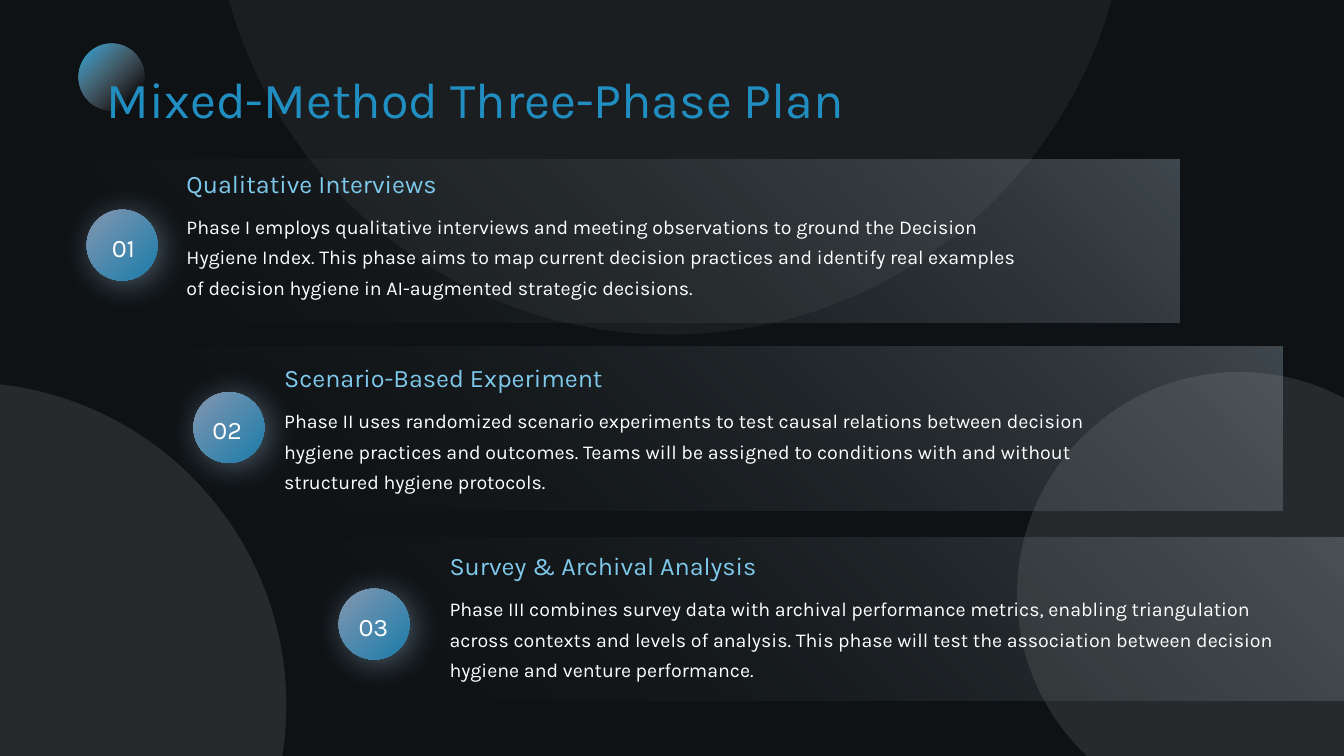
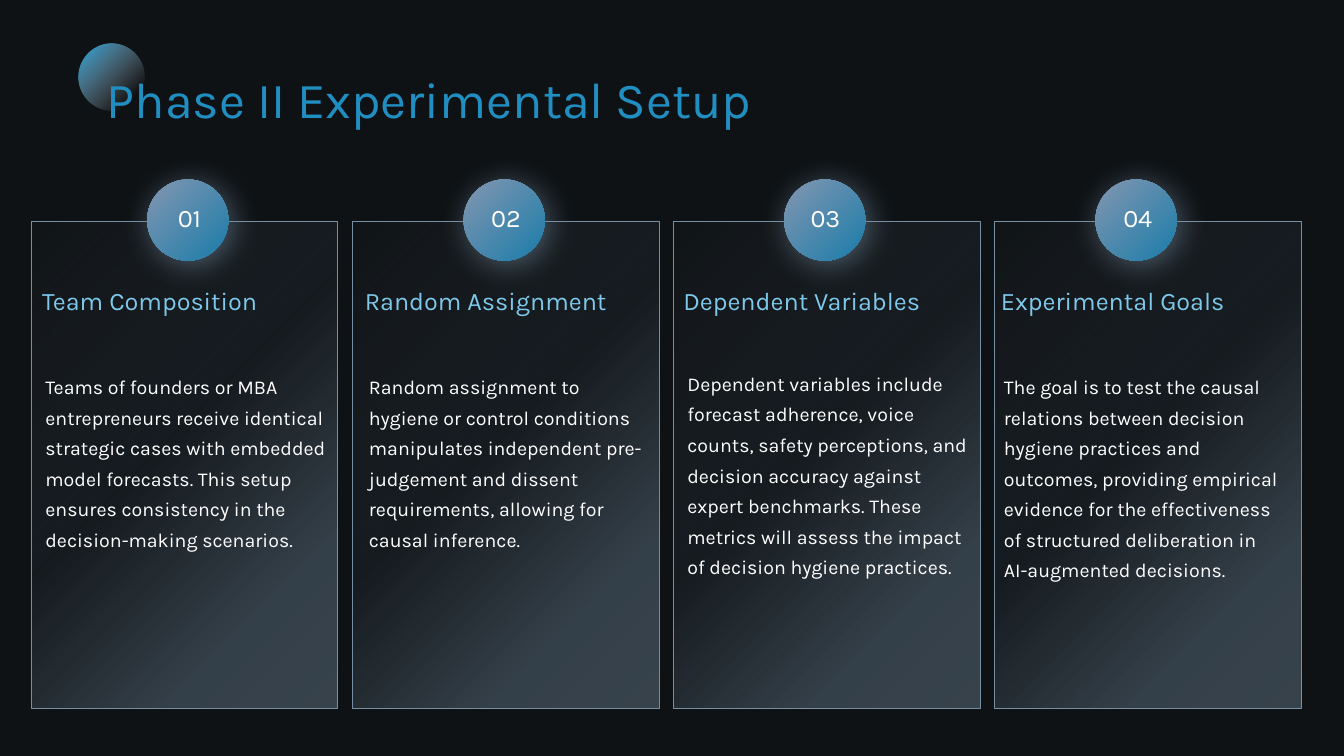
from dataclasses import dataclass

from lxml.etree import SubElement
from pptx import Presentation
from pptx.dml.color import RGBColor
from pptx.enum.shapes import MSO_SHAPE as SHAPE
from pptx.enum.text import MSO_AUTO_SIZE as AUTO, PP_ALIGN as ALIGN
from pptx.oxml.ns import qn
from pptx.util import Pt

COLORS = {
    "background": "0E1215",
    "white": "FFFFFF",
    "title": "218EC1",
    "heading": "7EC9EB",
    "band": "A4B6C2",
    "dark": "232322",
    "steel": "788FA3",
    "disc_start": "8496B0",
    "disc_end": "1A7CAA",
    "accent": "28A4DE",
    "accent_fade": "C5C9CE",
}
FONT = "Karla"
BAND_STOPS = [(0, "band", 33), (100, "dark", 0)]
DISC_STOPS = [(0, "disc_start", 100), (100, "disc_end", 100)]
ACCENT_STOPS = [(0, "accent", 100), (81, "accent_fade", 0), (100, "accent_fade", 0)]
CARD_STOPS = [(0, "steel", 39), (22, "steel", 36), (54, "steel", 7), (100, "dark", 15)]

BAND_W, BAND_H = 816.5, 116.6
CARD_LEFT, CARD_TOP, CARD_W, CARD_H, CARD_PITCH = 22.3, 158.4, 219, 347.8, 229.4


@dataclass
class Phase:
    box: tuple
    disc: tuple
    label_dx: float
    text: tuple
    text_w: float
    heading: str
    body: str


@dataclass
class Step:
    disc_dx: float
    label_dx: float
    heading_dx: float
    body: tuple
    body_w: float
    heading: str
    detail: str


PHASES = [
    Phase((25.9, 113.8), (36, 36), 0, (103.7, 2.8), 607.7, "Qualitative Interviews",
          "Phase I employs qualitative interviews and meeting observations to ground the "
          "Decision Hygiene Index. This phase aims to map current decision practices and "
          "identify real examples of decision hygiene in AI-augmented strategic decisions."),
    Phase((99.4, 247.7), (38.8, 32.4), -2.2, (100, 7.9), 607.7, "Scenario-Based Experiment",
          "Phase II uses randomized scenario experiments to test causal relations between "
          "decision hygiene practices and outcomes. Teams will be assigned to conditions "
          "with and without structured hygiene protocols."),
    Phase((204.5, 383.8), (37.4, 36.7), -1.4, (113, 6.1), 617.8, "Survey & Archival Analysis",
          "Phase III combines survey data with archival performance metrics, enabling "
          "triangulation across contexts and levels of analysis. This phase will test the "
          "association between decision hygiene and venture performance."),
]
STEPS = [
    Step(82.8, 0, 7.9, (6.5, 100.8), 209.5, "Team Composition",
         "Teams of founders or MBA entrepreneurs receive identical strategic cases with "
         "embedded model forecasts. This setup ensures consistency in the decision-making "
         "scenarios."),
    Step(79.5, 0, 8.9, (8.2, 100.8), 206.6, "Random Assignment",
         "Random assignment to hygiene or control conditions manipulates independent "
         "pre-judgement and dissent requirements, allowing for causal inference."),
    Step(79, -0.7, 7, (6.3, 98.6), 209.5, "Dependent Variables",
         "Dependent variables include forecast adherence, voice counts, safety perceptions, "
         "and decision accuracy against expert benchmarks. These metrics will assess the "
         "impact of decision hygiene practices."),
    Step(72, 0, 4.5, (3, 100.8), 206.6, "Experimental Goals",
         "The goal is to test the causal relations between decision hygiene practices and "
         "outcomes, providing empirical evidence for the effectiveness of structured "
         "deliberation in AI-augmented decisions."),
]


def rgb(key):
    return RGBColor.from_string(COLORS[key])


def add_color(parent, key, alpha):
    color = SubElement(parent, qn("a:srgbClr"), val=COLORS[key])
    if alpha < 100:
        SubElement(color, qn("a:alpha"), val=str(alpha * 1000))


def add_plain_shape(slide, kind, left, top, width, height):
    shape = slide.shapes.add_shape(kind, Pt(left), Pt(top), Pt(width), Pt(height))
    shape.shadow.inherit = False
    shape.line.fill.background()
    return shape


def fill_gradient(shape, stops, angle=None):
    shape.fill.gradient()
    gradient = shape.fill._xPr.find(qn("a:gradFill"))
    for child in list(gradient):
        gradient.remove(child)
    stop_list = SubElement(gradient, qn("a:gsLst"))
    for position, key, alpha in stops:
        stop = SubElement(stop_list, qn("a:gs"), pos=str(position * 1000))
        add_color(stop, key, alpha)
    if angle is None:
        corner = SubElement(gradient, qn("a:path"))
        corner.set("path", "circle")
        SubElement(corner, qn("a:fillToRect"), l="100000", b="100000")
    else:
        SubElement(gradient, qn("a:lin"), ang=str(angle * 60000), scaled="0")


def add_text(slide, text, box, size, color, inset=0, spacing=None, align=None, grow=True):
    frame = slide.shapes.add_textbox(*map(Pt, box)).text_frame
    frame.word_wrap = True
    frame.auto_size = AUTO.SHAPE_TO_FIT_TEXT if grow else AUTO.NONE
    frame.margin_left = frame.margin_right = Pt(inset)
    frame.margin_top = frame.margin_bottom = Pt(inset)
    frame.text = text
    paragraph = frame.paragraphs[0]
    paragraph.alignment = align
    paragraph.line_spacing = spacing
    font = paragraph.runs[0].font
    font.name, font.size, font.color.rgb = FONT, Pt(size), rgb(color)


def add_heading(slide, text, left, top, width, inset=0):
    add_text(slide, text, (left, top, width, 21.6), 18, "heading", inset)


def add_body(slide, text, left, top, width, height):
    add_text(slide, text, (left, top, width, height), 14, "white", 3.6, 1.3)


def add_number_disc(slide, number, left, top, size, label_dx, label_dy, extra_w, spacing=None):
    disc = add_plain_shape(slide, SHAPE.OVAL, left, top, size, size)
    fill_gradient(disc, DISC_STOPS, 45)
    effects = disc._element.spPr.find(qn("a:effectLst"))
    glow = SubElement(effects, qn("a:outerShdw"), blurRad=str(Pt(22.9)), dist=str(Pt(4)),
                      dir=str(45 * 60000), algn="tl", rotWithShape="0")
    add_color(glow, "steel", 60)
    label_box = (left + label_dx, top + label_dy, size + extra_w, 24)
    add_text(slide, f"{number:02}", label_box, 18, "white",
             spacing=spacing, align=ALIGN.CENTER, grow=False)


def add_backdrop_circle(slide, left, top, size, alpha):
    circle = add_plain_shape(slide, SHAPE.OVAL, left, top, size, size)
    circle.fill.solid()
    circle.fill.fore_color.rgb = rgb("white")
    color = circle._element.spPr.find(qn("a:solidFill"))[0]
    SubElement(color, qn("a:alpha"), val=str(alpha * 1000))


def add_title(slide, text):
    accent = add_plain_shape(slide, SHAPE.OVAL, 56, 31.5, 47.5, 47.5)
    fill_gradient(accent, ACCENT_STOPS, 45)
    add_text(slide, text, (76.3, 40.3, 828.7, 51.8), 36, "title", spacing=1.2)


def add_phase(slide, number, phase):
    left, top = phase.box
    band = add_plain_shape(slide, SHAPE.ROUND_2_SAME_RECTANGLE,
                           left + (BAND_W - BAND_H) / 2, top - (BAND_W - BAND_H) / 2,
                           BAND_H, BAND_W)
    band.rotation = 270
    band.adjustments[0], band.adjustments[1] = 0.5, 0
    fill_gradient(band, BAND_STOPS)
    disc_dx, disc_dy = phase.disc
    add_number_disc(slide, number, left + disc_dx, top + disc_dy, 50.6,
                    phase.label_dx, 14, 2, 1.1)
    text_left, text_top = left + phase.text[0], top + phase.text[1]
    add_heading(slide, phase.heading, text_left, text_top, phase.text_w, 3.6)
    add_body(slide, phase.body, text_left, text_top + 28, phase.text_w, 65.5)


def add_step(slide, number, step, left, top):
    card = add_plain_shape(slide, SHAPE.RECTANGLE, left, top, CARD_W, CARD_H)
    fill_gradient(card, CARD_STOPS, 225)
    card.line.color.rgb = rgb("steel")
    card.line.width = Pt(0.5)
    add_number_disc(slide, number, left + step.disc_dx, top - 30.2, 58,
                    step.label_dx, 16.6, 2.5)
    add_heading(slide, step.heading, left + step.heading_dx, top + 45.4, 205)
    body_dx, body_dy = step.body
    add_body(slide, step.detail, left + body_dx, top + body_dy, step.body_w, 131)


def new_slide(deck):
    slide = deck.slides.add_slide(deck.slide_layouts[6])
    slide.background.fill.solid()
    slide.background.fill.fore_color.rgb = rgb("background")
    return slide


def build_plan(deck):
    slide = new_slide(deck)
    for circle in [(151.2, -416, 655, 5), (-257, 273, 461.5, 10), (726.5, 265.7, 317.5, 10)]:
        add_backdrop_circle(slide, *circle)
    for number, phase in enumerate(PHASES, 1):
        add_phase(slide, number, phase)
    add_title(slide, "Mixed-Method Three-Phase Plan")


def build_setup(deck):
    slide = new_slide(deck)
    for index, step in enumerate(STEPS):
        add_step(slide, index + 1, step, CARD_LEFT + index * CARD_PITCH, CARD_TOP)
    add_title(slide, "Phase II Experimental Setup")


def main():
    deck = Presentation()
    deck.slide_width, deck.slide_height = Pt(960), Pt(540)
    build_plan(deck)
    build_setup(deck)
    deck.save("out.pptx")


if __name__ == "__main__":
    main()
